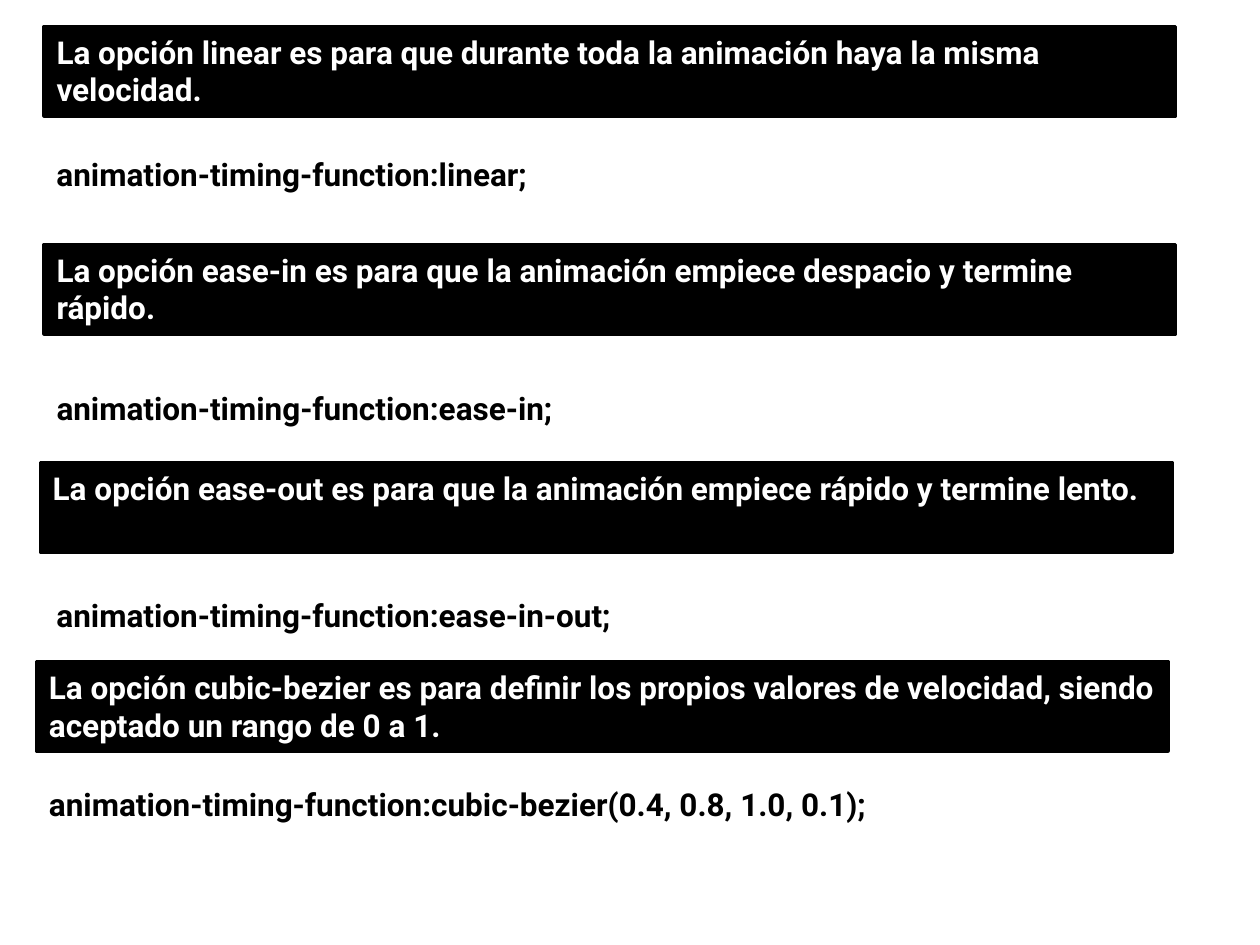
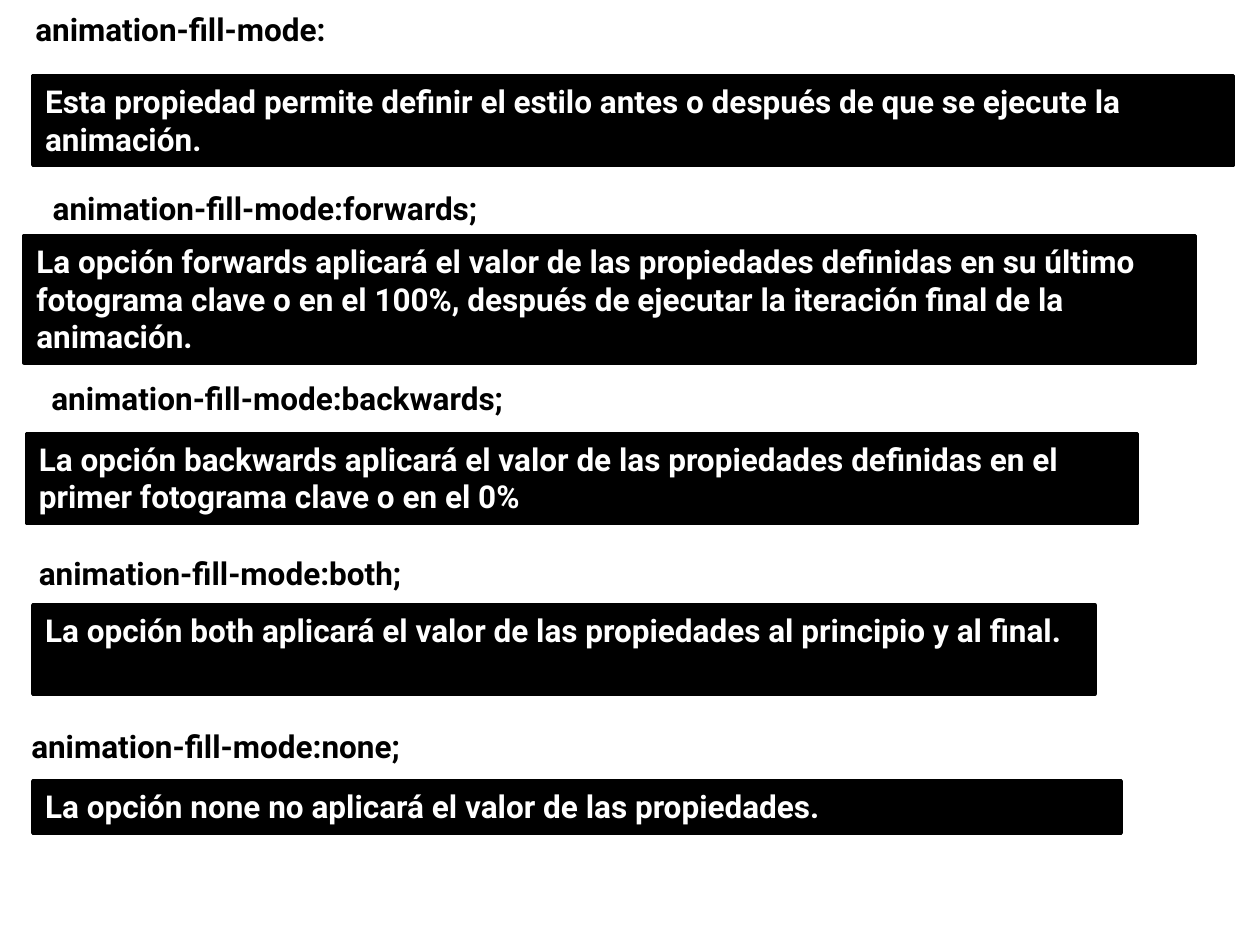
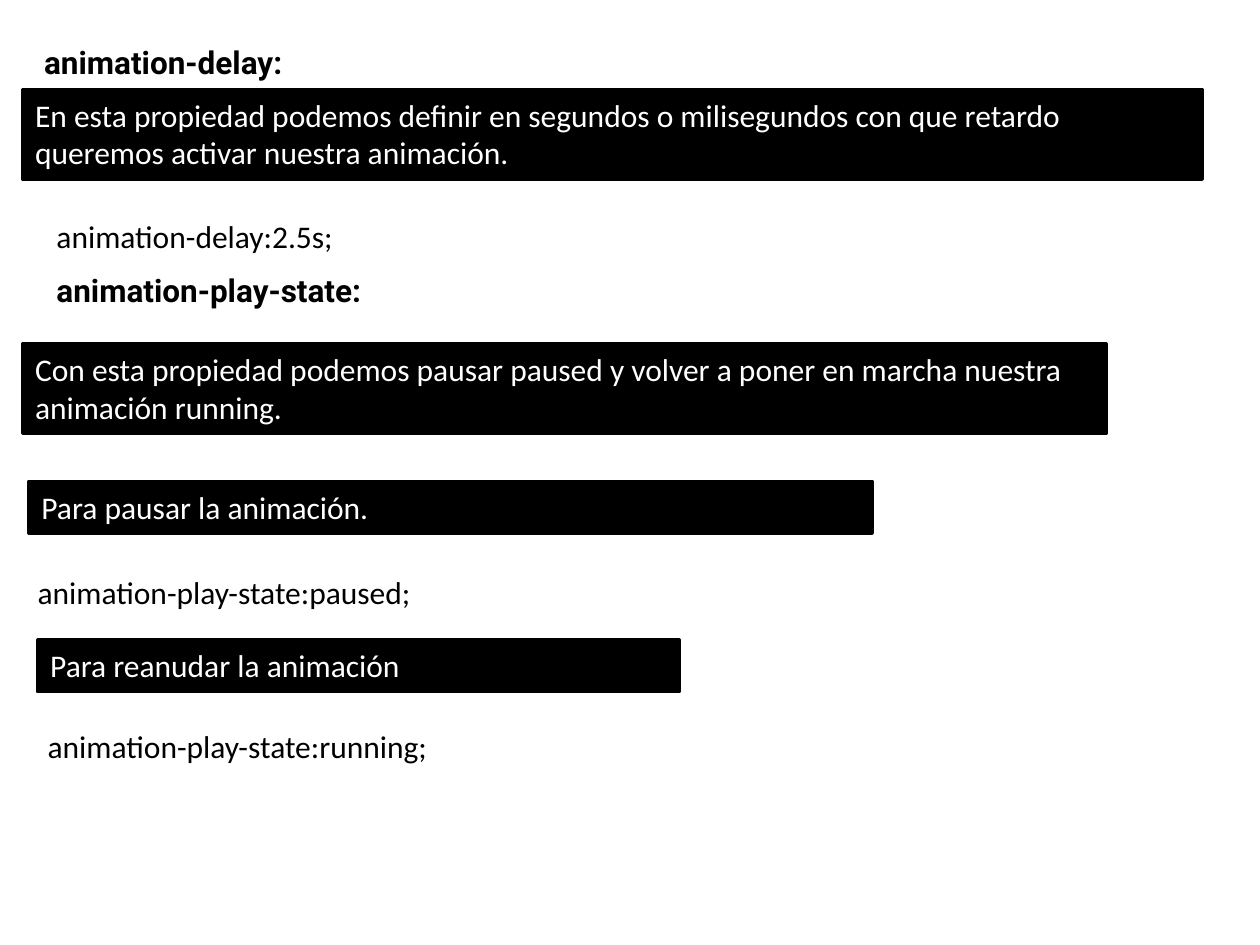
"""Build three slides on the CSS animation timing, fill, delay and play-state properties."""
from dataclasses import dataclass

from pptx import Presentation
from pptx.dml.color import RGBColor
from pptx.enum.shapes import MSO_SHAPE
from pptx.enum.text import MSO_ANCHOR, MSO_AUTO_SIZE, PP_ALIGN
from pptx.util import Inches, Pt


@dataclass(frozen=True)
class Theme:
    ink: RGBColor = RGBColor(0, 0, 0)
    paper: RGBColor = RGBColor(255, 255, 255)
    strong_font: str = "Roboto"
    plain_font: str = "Calibri"
    text_size: Pt = Pt(18)
    band_border: Pt = Pt(2)
    line_height: float = 0.3
    padding: float = 0.11


theme = Theme()


def write(shape, wording, color, strong):
    frame = shape.text_frame
    frame.word_wrap = True
    frame.auto_size = MSO_AUTO_SIZE.NONE
    frame.vertical_anchor = MSO_ANCHOR.TOP
    paragraph = frame.paragraphs[0]
    paragraph.alignment = PP_ALIGN.LEFT
    run = paragraph.add_run()
    run.text = wording
    run.font.name = theme.strong_font if strong else theme.plain_font
    run.font.bold = strong
    run.font.size = theme.text_size
    run.font.color.rgb = color


timing_function = [
    ("band", 0.35, 0.21, 8.98, 2,
     "La opción linear es para que durante toda la animación haya la misma velocidad."),
    ("code", 0.35, 1.18, 4.46, 1, "animation-timing-function:linear;"),
    ("band", 0.35, 1.94, 8.98, 2,
     "La opción ease-in es para que la animación empiece despacio y termine rápido."),
    ("code", 0.35, 3.04, 7.95, 1, "animation-timing-function:ease-in;"),
    ("band", 0.32, 3.67, 8.98, 2,
     "La opción ease-out es para que la animación empiece rápido y termine lento."),
    ("code", 0.35, 4.68, 7.56, 1, "animation-timing-function:ease-in-out;"),
    ("band", 0.29, 5.25, 8.98, 2,
     "La opción cubic-bezier es para definir los propios valores de velocidad, "
     "siendo aceptado un rango de 0 a 1."),
    ("code", 0.29, 6.18, 8.91, 1,
     "animation-timing-function:cubic-bezier(0.4, 0.8, 1.0, 0.1);"),
]

fill_mode = [
    ("title", 0.18, 0.03, 3.74, 1, "animation-fill-mode:"),
    ("band", 0.26, 0.6, 9.53, 2,
     "Esta propiedad permite definir el estilo antes o después de que se ejecute la animación."),
    ("code", 0.32, 1.45, 6.69, 1, "animation-fill-mode:forwards;"),
    ("band", 0.19, 1.87, 9.3, 3,
     "La opción forwards aplicará el valor de las propiedades definidas en su último "
     "fotograma clave o en el 100%, después de ejecutar la iteración final de la animación."),
    ("code", 0.31, 2.96, 8.23, 1, "animation-fill-mode:backwards;"),
    ("band", 0.21, 3.44, 8.82, 2,
     "La opción backwards aplicará el valor de las propiedades definidas en el "
     "primer fotograma clave o en el 0%"),
    ("code", 0.21, 4.35, 7.19, 1, "animation-fill-mode:both;"),
    ("band", 0.26, 4.8, 8.43, 2,
     "La opción both aplicará el valor de las propiedades al principio y al final."),
    ("code", 0.15, 5.72, 6.2, 1, "animation-fill-mode:none;"),
    ("band", 0.26, 6.2, 8.64, 1,
     "La opción none no aplicará el valor de las propiedades."),
]

delay_and_play_state = [
    ("title", 0.25, 0.29, 2.21, 1, "animation-delay:"),
    ("band", 0.18, 0.71, 9.36, 2,
     "En esta propiedad podemos definir en segundos o milisegundos con que retardo "
     "queremos activar nuestra animación."),
    ("code", 0.35, 1.67, 2.5, 1, "animation-delay:2.5s;"),
    ("heading", 0.35, 2.1, 2.74, 1, "animation-play-state:"),
    ("band", 0.18, 2.73, 8.6, 2,
     "Con esta propiedad podemos pausar paused y volver a poner en marcha nuestra "
     "animación running."),
    ("band", 0.23, 3.82, 6.69, 1, "Para pausar la animación."),
    ("code", 0.2, 4.5, 6.31, 1, "animation-play-state:paused;"),
    ("band", 0.3, 5.08, 5.09, 1, "Para reanudar la animación"),
    ("code", 0.28, 5.72, 5, 1, "animation-play-state:running;"),
]

presentation = Presentation()
presentation.slide_width = Inches(10)
presentation.slide_height = Inches(7.5)
title_only, blank = presentation.slide_layouts[5], presentation.slide_layouts[6]

for layout, strong_body, entries in (
    (blank, True, timing_function),
    (title_only, True, fill_mode),
    (title_only, False, delay_and_play_state),
):
    slide = presentation.slides.add_slide(layout)
    slide.background.fill.solid()
    slide.background.fill.fore_color.rgb = theme.paper
    for role, left, top, width, lines, wording in entries:
        height = theme.padding + theme.line_height * lines
        place = [Inches(length) for length in (left, top, width, height)]
        color = theme.ink
        if role == "title":
            entry = slide.shapes.title
            entry.left, entry.top, entry.width, entry.height = place
        elif role == "band":
            entry = slide.shapes.add_shape(MSO_SHAPE.RECTANGLE, *place)
            entry.shadow.inherit = False
            entry.fill.solid()
            entry.fill.fore_color.rgb = theme.ink
            entry.line.color.rgb = theme.ink
            entry.line.width = theme.band_border
            color = theme.paper
        else:
            entry = slide.shapes.add_textbox(*place)
        write(entry, wording, color, strong_body or role in ("title", "heading"))

presentation.save("out.pptx")
